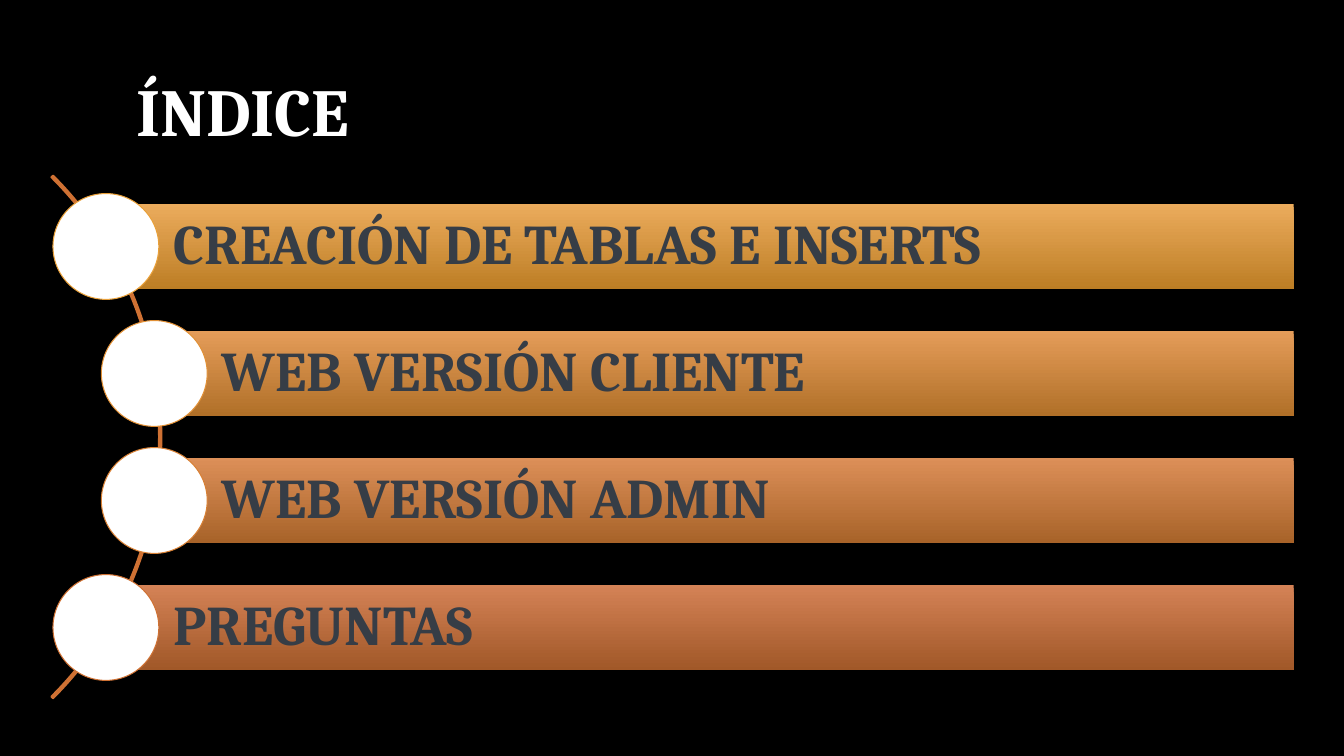
from dataclasses import dataclass

from pptx import Presentation
from pptx.dml.color import RGBColor
from pptx.enum.shapes import MSO_SHAPE
from pptx.enum.text import MSO_ANCHOR, MSO_AUTO_SIZE, PP_ALIGN
from pptx.shapes.autoshape import Shape
from pptx.slide import Slide
from pptx.text.text import TextFrame
from pptx.util import Inches, Pt

RECT, OVAL, ARC = MSO_SHAPE.RECTANGLE, MSO_SHAPE.OVAL, MSO_SHAPE.BLOCK_ARC
MIDDLE, LEFT, NO_FIT = MSO_ANCHOR.MIDDLE, PP_ALIGN.LEFT, MSO_AUTO_SIZE.NONE


@dataclass(frozen=True)
class Theme:
    font: str = "Cambria"
    back: str = "000000"
    light: str = "FFFFFF"
    ink: str = "363D46"
    curve: str = "CF7133"
    head: float = 48
    item: float = 40


@dataclass(frozen=True)
class Grid:
    """Rows centred on the curve; all lengths in inches."""
    wide: float = 13.33
    high: float = 7.5
    mid: float = 4.335      # height of the curve's centre
    row: float = 1.26       # distance between topics
    base: float = 1.05      # centre of the outer dots
    step: float = 0.48      # shift of the inner dots
    right: float = 12.83    # right end of the bars
    arc: float = 7.33       # diameter of the curve
    edge: float = 1.6       # right end of the curve

    @property
    def bar(self) -> float:
        return self.row * 2 / 3

    @property
    def dot(self) -> float:
        return self.bar * 1.25


@dataclass(frozen=True)
class Topic:
    text: str
    col: int
    top: str
    foot: str
    rim: str


THEME, GRID = Theme(), Grid()
TOPICS = [
    Topic("CREACIÓN DE TABLAS E INSERTS", 0, "EBAB5C", "BD7E25", "E9A039"),
    Topic("WEB VERSIÓN CLIENTE", 1, "E49C59", "B17028", "E19036"),
    Topic("WEB VERSIÓN ADMIN", 1, "DC8F58", "A86329", "D88034"),
    Topic("PREGUNTAS", 0, "D48256", "A15828", "CF7133"),
]


def tint(code: str) -> RGBColor:
    return RGBColor.from_string(code)


def add(slide: Slide, kind: MSO_SHAPE, x: float, y: float,
        w: float, h: float) -> Shape:
    shape = slide.shapes.add_shape(
        kind, Inches(x), Inches(y), Inches(w), Inches(h))
    shape.shadow.inherit = False
    return shape


def edge(shape: Shape, code: str, width: float) -> None:
    shape.line.color.rgb = tint(code)
    shape.line.width = Pt(width)


def write(frame: TextFrame, text: str, size: float, code: str) -> None:
    frame.word_wrap = True
    frame.auto_size = NO_FIT
    frame.vertical_anchor = MIDDLE
    para = frame.paragraphs[0]
    para.alignment = LEFT
    para.line_spacing = 0.9
    run = para.add_run()
    run.text = text
    font = run.font
    font.name, font.size, font.bold = THEME.font, Pt(size), True
    font.color.rgb = tint(code)


def add_title(slide: Slide) -> None:
    title = slide.shapes.title
    title.left, title.top = Inches(1.25), Inches(0.67)
    title.width, title.height = Inches(10.83), Inches(0.94)
    write(title.text_frame, "ÍNDICE", THEME.head, THEME.light)


def add_curve(slide: Slide) -> None:
    size = GRID.arc
    curve = add(slide, ARC, GRID.edge - size, GRID.mid - size / 2, size, size)
    # Start angle, end angle and thickness
    for i, value in enumerate((189, 27, 0.003)):
        curve.adjustments[i] = value
    curve.fill.background()
    edge(curve, THEME.curve, 1.5)


def add_topic(slide: Slide, topic: Topic, x: float, y: float) -> None:
    # Bar with its label
    bar = add(slide, RECT, x, y - GRID.bar / 2, GRID.right - x, GRID.bar)
    bar.fill.gradient()
    bar.fill.gradient_angle = 270
    for stop, code in zip(bar.fill.gradient_stops, (topic.top, topic.foot)):
        stop.color.rgb = tint(code)
    first, last = bar.fill.gradient_stops
    first.position, last.position = 0, 1
    bar.line.fill.background()
    frame = bar.text_frame
    frame.margin_left = Inches(0.67)
    frame.margin_top = frame.margin_right = frame.margin_bottom = Inches(0.11)
    write(frame, topic.text, THEME.item, THEME.ink)

    # Dot on the bar's left end
    half = GRID.dot / 2
    dot = add(slide, OVAL, x - half, y - half, GRID.dot, GRID.dot)
    dot.fill.solid()
    dot.fill.fore_color.rgb = tint(THEME.light)
    edge(dot, topic.rim, 0.75)


def main() -> None:
    deck = Presentation()
    deck.slide_width, deck.slide_height = Inches(GRID.wide), Inches(GRID.high)
    slide = deck.slides.add_slide(deck.slide_layouts.get_by_name("Title Only"))
    slide.background.fill.solid()
    slide.background.fill.fore_color.rgb = tint(THEME.back)

    add_title(slide)
    add_curve(slide)
    for i, topic in enumerate(TOPICS):
        y = GRID.mid + (i - (len(TOPICS) - 1) / 2) * GRID.row
        add_topic(slide, topic, GRID.base + topic.col * GRID.step, y)
    deck.save("out.pptx")


if __name__ == "__main__":
    main()
